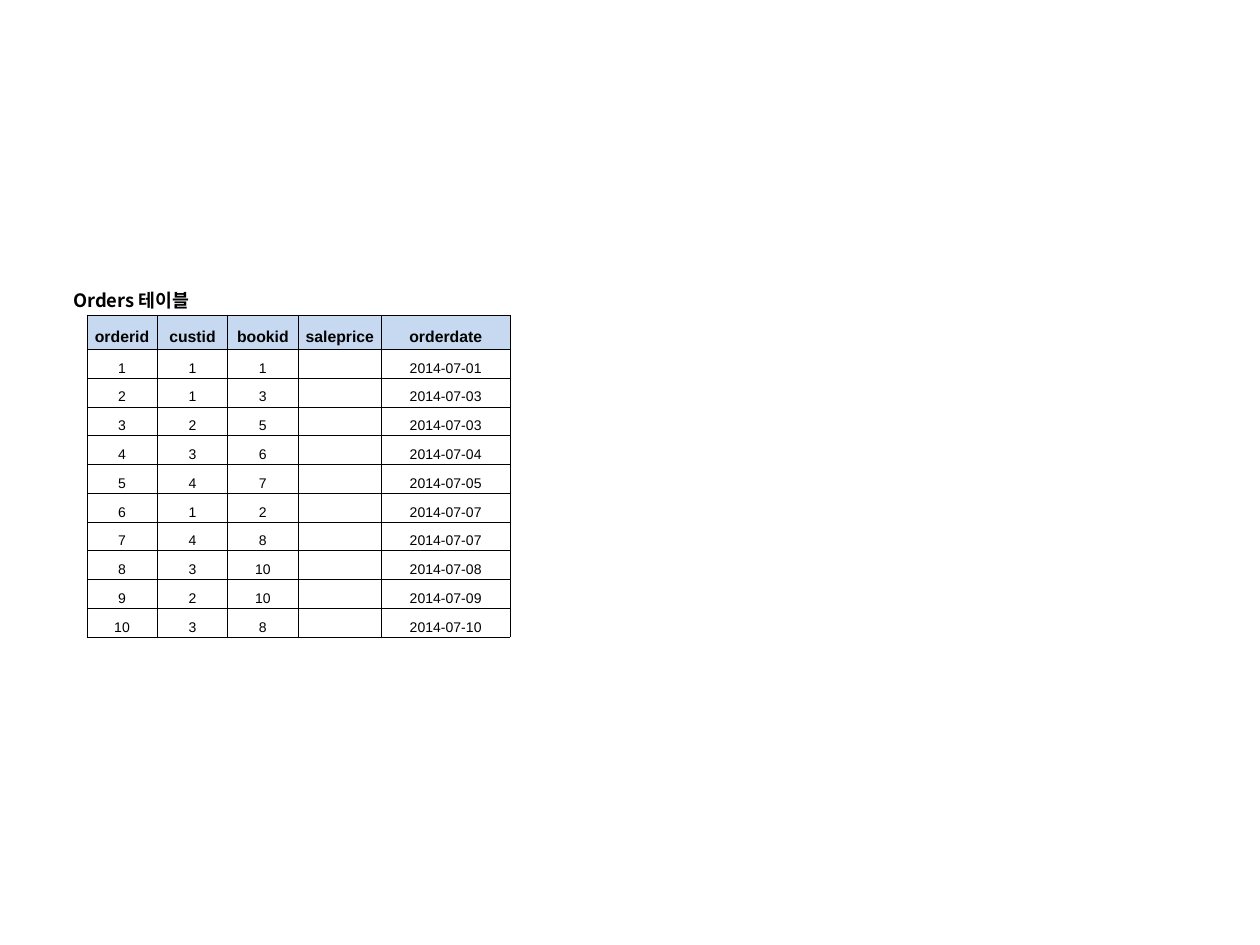
from dataclasses import astuple, dataclass

from lxml.etree import SubElement
from pptx import Presentation
from pptx.dml.color import RGBColor
from pptx.enum.text import MSO_VERTICAL_ANCHOR as Anchor, PP_PARAGRAPH_ALIGNMENT as Align
from pptx.oxml.ns import qn
from pptx.util import Cm, Pt

COLORS = {"ink": "000000", "header": "C6D9F1"}
COLUMN_WIDTHS = (1.42, 1.42, 1.42, 1.68, 2.59)
HEADER_HEIGHT, ROW_HEIGHT = 0.69, 0.58
BORDER = Pt(0.28)


@dataclass
class Order:
    """One row of the Orders table."""
    orderid: str
    custid: str
    bookid: str
    saleprice: str
    orderdate: str


HEADER = Order("orderid", "custid", "bookid", "saleprice", "orderdate")
ORDERS = [
    Order("1", "1", "1", "", "2014-07-01"),
    Order("2", "1", "3", "", "2014-07-03"),
    Order("3", "2", "5", "", "2014-07-03"),
    Order("4", "3", "6", "", "2014-07-04"),
    Order("5", "4", "7", "", "2014-07-05"),
    Order("6", "1", "2", "", "2014-07-07"),
    Order("7", "4", "8", "", "2014-07-07"),
    Order("8", "3", "10", "", "2014-07-08"),
    Order("9", "2", "10", "", "2014-07-09"),
    Order("10", "3", "8", "", "2014-07-10"),
]


def add_span(para, text: str, font_name: str, size: float, bold: bool) -> None:
    """Add one run with its font to a paragraph."""
    span = para.add_run()
    span.text = text
    font = span.font
    font.name, font.size, font.bold = font_name, Pt(size), bold
    font.color.rgb = RGBColor.from_string(COLORS["ink"])
    properties = span._r.get_or_add_rPr()
    SubElement(properties, qn("a:ea"), typeface=font_name)


def set_borders(cell) -> None:
    """Draw a thin line on all four sides of a cell."""
    properties = cell._tc.get_or_add_tcPr()
    for index, side in enumerate(("lnL", "lnR", "lnT", "lnB")):
        line = SubElement(properties, qn(f"a:{side}"), w=str(BORDER))
        fill = SubElement(line, qn("a:solidFill"))
        SubElement(fill, qn("a:srgbClr"), val=COLORS["ink"])
        properties.insert(index, line)


def fill_cell(cell, text: str, is_header: bool) -> None:
    """Set the text, margins, fill and borders of a cell."""
    size = 9 if is_header else 8
    cell.margin_left = cell.margin_right = Cm(0.13)
    cell.margin_top = cell.margin_bottom = Cm(0.03)
    cell.vertical_anchor = Anchor.MIDDLE
    para = cell.text_frame.paragraphs[0]
    para.alignment = Align.CENTER
    para.line_spacing = 1.6
    if text:
        add_span(para, text, "Arial", size, is_header)
    else:
        SubElement(para._p, qn("a:endParaRPr"), sz=str(size * 100))
    if is_header:
        cell.fill.solid()
        cell.fill.fore_color.rgb = RGBColor.from_string(COLORS["header"])
    else:
        cell.fill.background()
    set_borders(cell)


def add_orders_table(page) -> None:
    """Add the Orders table with its header row."""
    rows = [HEADER, *ORDERS]
    height = HEADER_HEIGHT + ROW_HEIGHT * len(ORDERS)
    table = page.shapes.add_table(
        len(rows), len(COLUMN_WIDTHS), Cm(1.75), Cm(6.35), Cm(sum(COLUMN_WIDTHS)), Cm(height)
    ).table
    table.horz_banding = False
    for column, width in zip(table.columns, COLUMN_WIDTHS):
        column.width = Cm(width)
    for index, order in enumerate(rows):
        is_header = order is HEADER
        table.rows[index].height = Cm(HEADER_HEIGHT if is_header else ROW_HEIGHT)
        for cell, text in zip(table.rows[index].cells, astuple(order)):
            fill_cell(cell, text, is_header)


def add_title(page) -> None:
    """Add the table's title above it."""
    box = page.shapes.add_textbox(Cm(1.3), Cm(5.74), Cm(3.91), Cm(0.61))
    frame = box.text_frame
    frame.word_wrap = True
    frame.vertical_anchor = Anchor.MIDDLE
    frame.margin_left = frame.margin_right = Cm(0.18)
    frame.margin_top = frame.margin_bottom = Cm(0.1)
    add_span(frame.paragraphs[0], "Orders 테이블", "Noto Sans CJK KR", 10.5, True)


deck = Presentation()
deck.slide_width, deck.slide_height = Cm(25.4), Cm(19.05)
page = deck.slides.add_slide(deck.slide_layouts[6])
add_orders_table(page)
add_title(page)
deck.save("out.pptx")
